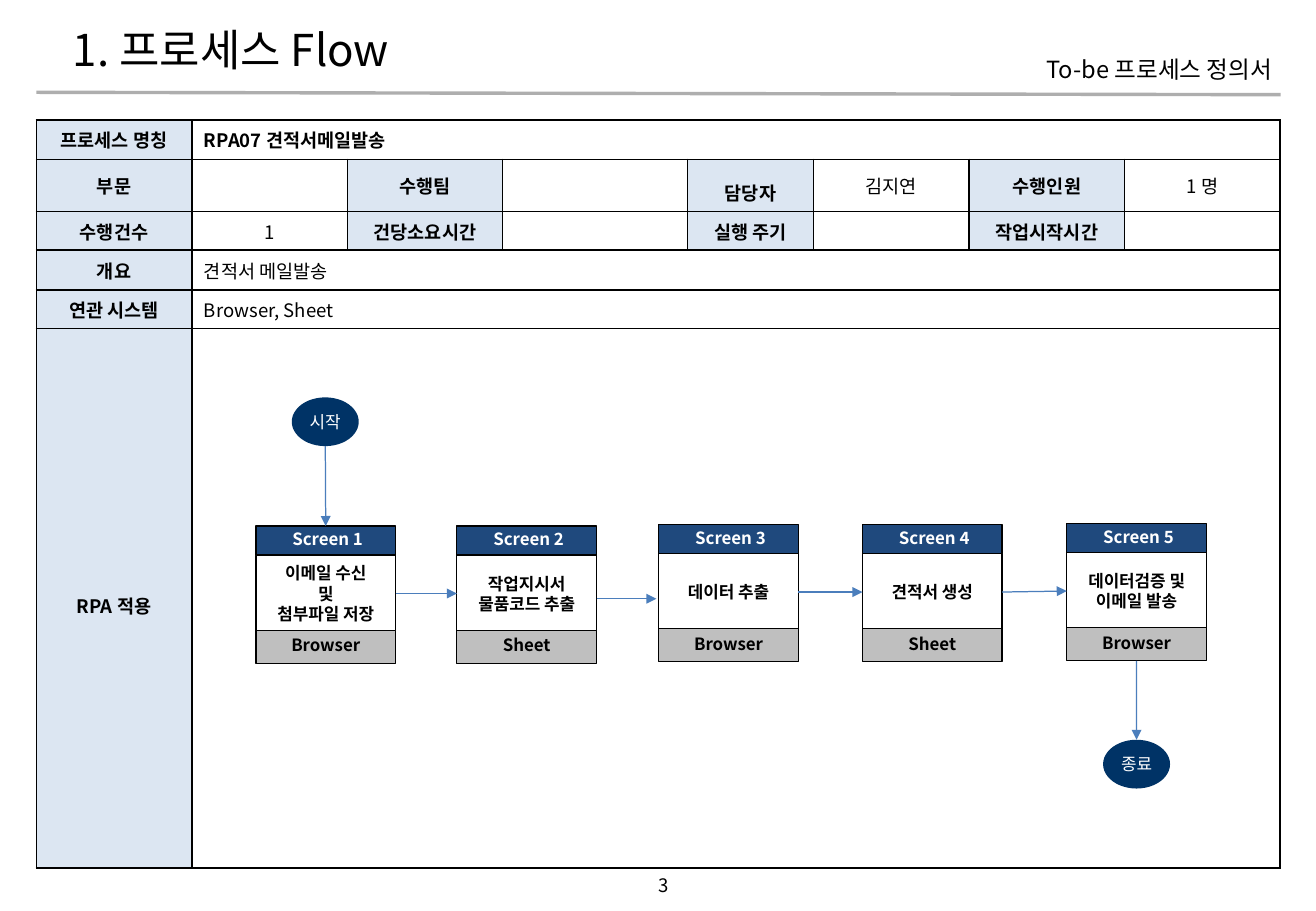
from dataclasses import dataclass
from typing import Any

from lxml import etree
from pptx import Presentation, util as u
from pptx.dml import color
from pptx.enum import shapes, text
from pptx.oxml import ns

FONT = "Noto Sans CJK KR"
HUES = {
    "black": "000000", "white": "FFFFFF", "pale": "DCE6F2", "navy": "1F497D",
    "deep": "003366", "grey": "BFBFBF", "rule": "AEAEAE", "blue": "4B7EBC",
}
LEFT, MID, RIGHT = text.PP_ALIGN.LEFT, text.PP_ALIGN.CENTER, text.PP_ALIGN.RIGHT
CENTRE = text.MSO_ANCHOR.MIDDLE
RECT, OVAL = shapes.MSO_SHAPE.RECTANGLE, shapes.MSO_SHAPE.OVAL
SNUG = dict(margin_left=u.Cm(0.23), margin_right=u.Cm(0.23),
            margin_top=u.Cm(0.1), margin_bottom=u.Cm(0.1))
BARE = dict.fromkeys(SNUG, 0)

COLS = [3.25, 3.25, 3.25, 3.86, 2.64, 3.25, 3.25, 3.25]
ROWS = [0.82, 1.09, 0.81, 0.83, 0.81, 11.28]
CELLS = [
    ["프로세스 명칭", "RPA07 견적서메일발송"],
    ["부문", "", "수행팀", "", "담당자", "김지연", "수행인원", "1 명"],
    ["수행건수", "1", "건당소요시간", "", "실행 주기", "", "작업시작시간", ""],
    ["개요", "견적서 메일발송"],
    ["연관 시스템", "Browser, Sheet"],
    ["RPA 적용", ""],
]
LOOSE = ("담당자", "RPA 적용")


@dataclass
class Screen:
    """A step of the process: place, task and tool."""
    left: float
    top: float
    task: str
    tool: str


@dataclass
class Part:
    """A band of a screen box: offset, height, fill and text format."""
    drop: float
    high: float
    fill: str
    ink: str
    gap: float


STEPS = [
    Screen(5.35, 11, "이메일 수신\n및\n첨부파일 저장", "Browser"),
    Screen(9.55, 11, "작업지시서\n물품코드 추출", "Sheet"),
    Screen(13.77, 10.97, "데이터 추출", "Browser"),
    Screen(18.03, 10.97, "견적서 생성", "Sheet"),
    Screen(22.3, 10.95, "데이터검증 및 이메일 발송", "Browser"),
]
WIDE = 2.92
BODY = Part(0.61, 1.6, "white", "black", 1.0)
FOOT = Part(2.18, 0.69, "grey", "black", 0.8)
HEAD = Part(0, 0.61, "navy", "white", 0.8)


def hue(name: str) -> color.RGBColor:
    """Look up a colour."""
    return color.RGBColor.from_string(HUES[name])


def apply(item: Any, form: dict) -> None:
    """Set attributes from format values."""
    for key, value in form.items():
        setattr(item, key, value)


def write(frame: Any, words: str, size: float, ink: str = "black", bold: bool = False,
          side: Any = MID, gap: float = 1.0) -> None:
    """Fill a text frame, one paragraph a line."""
    for num, line in enumerate(words.split("\n")):
        para = frame.add_paragraph() if num else frame.paragraphs[0]
        apply(para, dict(alignment=side, line_spacing=gap))
        if line:
            run = para.add_run()
            run.text = line
            apply(run.font, dict(size=u.Pt(size), bold=bold, name=FONT))
            run.font.color.rgb = hue(ink)
            etree.SubElement(run._r.get_or_add_rPr(), ns.qn("a:ea"), typeface=FONT)
        etree.SubElement(para._p, ns.qn("a:endParaRPr"), sz=str(int(size * 100)))


def label(slide: Any, box: tuple, words: str, size: float, **form: Any) -> None:
    """Add a text box."""
    frame = slide.shapes.add_textbox(*map(u.Cm, box)).text_frame
    frame.word_wrap = True
    write(frame, words, size, **form)


def block(home: Any, kind: Any, box: tuple, fill: str, edge: bool, pads: dict) -> Any:
    """Add a filled shape ready for text."""
    shape = home.shapes.add_shape(kind, *map(u.Cm, box))
    shape.shadow.inherit = False
    shape.fill.solid()
    shape.fill.fore_color.rgb = hue(fill)
    if edge:
        shape.line.color.rgb = hue("black")
        shape.line.width = u.Pt(0.75)
    else:
        shape.line.fill.background()
    apply(shape.text_frame, dict(pads, word_wrap=True, vertical_anchor=CENTRE))
    return shape


def link(slide: Any, ends: tuple, ink: str = "blue", width: float = 0.75,
         tip: bool = True) -> Any:
    """Add a straight line, with an arrow tip if asked."""
    line = slide.shapes.add_connector(shapes.MSO_CONNECTOR.STRAIGHT, *map(u.Cm, ends))
    line.line.color.rgb = hue(ink)
    line.line.width = u.Pt(width)
    props = line._element.spPr
    if tip:
        etree.SubElement(props.find(ns.qn("a:ln")), ns.qn("a:tailEnd"), type="triangle")
    etree.SubElement(props, ns.qn("a:effectLst"))
    return line


def join(slide: Any, start: Any, out: int, stop: Any, into: int) -> None:
    """Tie two shapes with an arrow."""
    line = link(slide, (0, 0, 1, 1))
    line.begin_connect(start, out)
    line.end_connect(stop, into)


def frame_cell(cell: Any, fill: str) -> None:
    """Set borders and fill of a cell."""
    props = cell._tc.get_or_add_tcPr()
    for side in "LRTB":
        line = etree.SubElement(props, ns.qn(f"a:ln{side}"), w=str(u.Pt(1)))
        solid = etree.SubElement(line, ns.qn("a:solidFill"))
        etree.SubElement(solid, ns.qn("a:srgbClr"), val=HUES["black"])
    cell.fill.solid()
    cell.fill.fore_color.rgb = hue(fill)
    cell.vertical_anchor = CENTRE


def grid(slide: Any) -> None:
    """Draw the process table."""
    box = (0.76, 2.51, sum(COLS), sum(ROWS))
    table = slide.shapes.add_table(len(ROWS), len(COLS), *map(u.Cm, box)).table
    apply(table, dict(first_row=False, horz_banding=False))
    for col, width in zip(table.columns, COLS):
        col.width = u.Cm(width)
    for y, (high, words) in enumerate(zip(ROWS, CELLS)):
        table.rows[y].height = u.Cm(high)
        span = len(words) == 2
        for x, word in enumerate(words + [""] * (len(COLS) - len(words))):
            cell = table.cell(y, x)
            head = x == 0 or not span and x % 2 == 0
            frame_cell(cell, "pale" if head else "white")
            write(cell.text_frame, word, 11, bold=head or y == 0,
                  side=LEFT if span and x else MID, gap=1.5 if word in LOOSE else 1.0)
        if span:
            table.cell(y, 1).merge(table.cell(y, len(COLS) - 1))


def card(slide: Any, num: int, step: Screen) -> list:
    """Draw a screen box and give its body, foot and head."""
    group = slide.shapes.add_group_shape()
    made = []
    for part, words in ((BODY, step.task), (FOOT, step.tool), (HEAD, f" Screen {num}")):
        box = (step.left, step.top + part.drop, WIDE, part.high)
        shape = block(group, RECT, box, part.fill, True, SNUG)
        write(shape.text_frame, words, 10, part.ink, True, gap=part.gap)
        made.append(shape)
    return made


def knob(slide: Any, left: float, top: float, words: str) -> Any:
    """Draw a start or end oval."""
    shape = block(slide, OVAL, (left, top, 1.4, 1.02), "deep", False, BARE)
    write(shape.text_frame, words, 10, "white")
    return shape


def main() -> None:
    """Build the slide."""
    deck = Presentation()
    apply(deck, dict(slide_width=u.Cm(27.51), slide_height=u.Cm(19.05)))
    slide = deck.slides.add_slide(deck.slide_layouts[5])
    title = slide.shapes.title
    apply(title, dict(left=u.Cm(1.27), top=u.Cm(0.33), width=u.Cm(18.69), height=u.Cm(1.4)))
    apply(title.text_frame, dict(vertical_anchor=CENTRE, auto_size=text.MSO_AUTO_SIZE.NONE))
    write(title.text_frame, "1. 프로세스 Flow", 26, side=LEFT)
    link(slide, (0.76, 1.93, 26.77, 1.98), "rule", 2, False)
    label(slide, (20.93, 1.02, 5.92, 0.86), "To-be 프로세스 정의서", 14, side=RIGHT)
    label(slide, (13.18, 18.16, 1.37, 0.71), "3", 11)
    grid(slide)

    cards = [card(slide, num, step) for num, step in enumerate(STEPS, 1)]
    first = knob(slide, 6.1, 8.31, "시작")
    last = knob(slide, 23.06, 15.47, "종료")
    link(slide, (6.8, 9.33, 6.81, 11)).end_connect(cards[0][2], 0)
    for pos in (0, 2, 3):
        join(slide, cards[pos][0], 3, cards[pos + 1][0], 1)
    link(slide, (12.47, 12.52, 13.72, 12.52))
    join(slide, cards[-1][1], 2, last, 0)
    deck.save("out.pptx")


if __name__ == "__main__":
    main()
